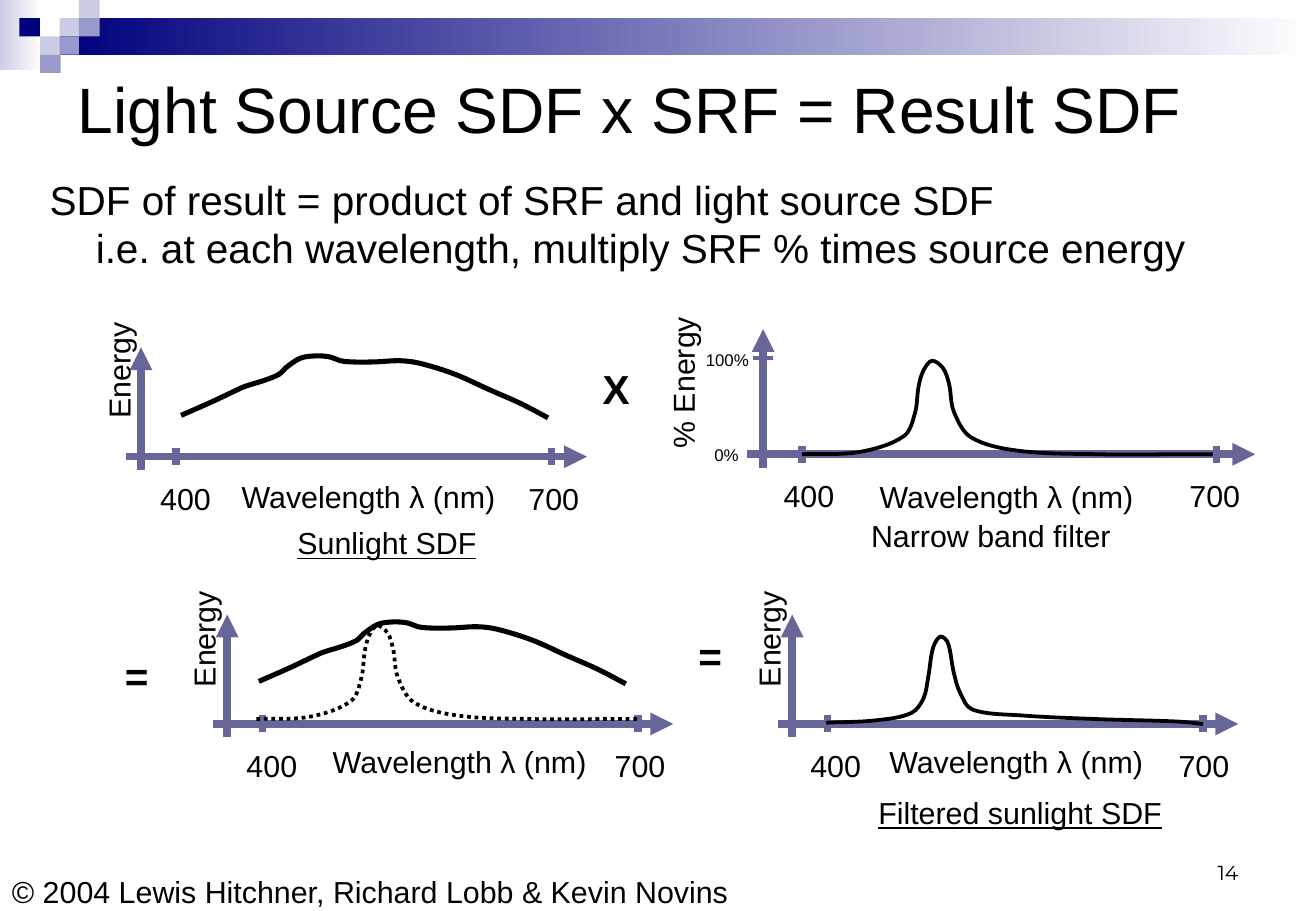
"""Build the slide on light source SDF, SRF and result SDF."""
import math
from dataclasses import dataclass

import pptx
import pptx.dml.color
import pptx.enum.dml
import pptx.enum.shapes
import pptx.enum.text
import pptx.oxml
import pptx.oxml.ns
import pptx.util

SCALE = 9144
BLACK = pptx.dml.color.RGBColor(0x00, 0x00, 0x00)
WHITE = pptx.dml.color.RGBColor(0xFF, 0xFF, 0xFF)
NAVY = pptx.dml.color.RGBColor(0x00, 0x00, 0x7D)
PALE = pptx.dml.color.RGBColor(0xCC, 0xCC, 0xE6)
LILAC = pptx.dml.color.RGBColor(0x99, 0x99, 0xCC)
SLATE = pptx.dml.color.RGBColor(0x66, 0x66, 0x99)
Point = tuple[float, float]

SUN: list[Point] = [
    (0, 49), (25, 38), (44, 29), (53, 25), (69, 20), (81, 15), (86, 10), (98, 2),
    (111, 0), (123, 1), (131, 4), (140, 5), (159, 5), (180, 4), (196, 6),
    (225, 15), (254, 28), (279, 39), (302, 51)]
BAND: list[Point] = [
    (0, 77), (48, 75), (84, 62), (93, 43), (96, 21), (100, 8), (107, 0), (116, 6),
    (121, 19), (125, 42), (139, 63), (177, 74), (244, 77), (315, 77), (338, 77)]
RESULT: list[Point] = [
    (0, 72), (41, 70), (70, 64), (80, 52), (84, 34), (88, 10), (94, 1), (100, 6),
    (105, 31), (110, 47), (120, 61), (161, 66), (223, 69), (289, 71), (310, 73)]


@dataclass
class Box:
    """A filled box, fading to white when fade is set."""
    left: int
    top: int
    width: int
    height: int
    color: pptx.dml.color.RGBColor
    fade: bool = False


@dataclass
class Label:
    """A piece of text and its box."""
    text: str
    left: int
    top: int
    width: int
    height: int = 40
    size: int = 18
    bold: bool = False
    under: bool = False
    turn: int = 0


@dataclass
class Panel:
    """A pair of axes; ticks and labels are offsets from the left end."""
    left: int
    base: int
    wave: Point
    length: int = 379
    rise: int = 90
    axis: int = 12
    ticks: tuple[int, int] = (41, 350)
    names: tuple[int, int] = (18, 321)


@dataclass
class Curve:
    """A smooth curve through knots."""
    knots: list[Point]
    left: int
    top: int
    weight: float
    stretch: float = 1
    dots: bool = False


BOXES = [
    Box(0, 0, 34, 58, PALE, True), Box(49, 15, 1034, 30, NAVY, True),
    Box(49, 15, 16, 15, PALE), Box(65, 0, 17, 15, PALE), Box(65, 15, 17, 15, LILAC),
    Box(33, 30, 17, 15, PALE), Box(16, 15, 17, 15, NAVY), Box(49, 30, 16, 15, LILAC),
    Box(33, 45, 17, 15, LILAC)]
PANELS = [
    Panel(104, 376, (85, 13)),
    Panel(615, 374, (99, 15), 418, 103, 13, (45, 386), (20, 354)),
    Panel(175, 596, (89, 11)),
    Panel(640, 596, (82, 11), names=(17, 320))]
CURVES = [
    Curve(SUN, 149, 293, 3), Curve(BAND, 660, 297, 2.25),
    Curve(BAND, 211, 515, 2.25, 0.93, True), Curve(SUN, 213, 512, 3),
    Curve(RESULT, 680, 523, 2.25)]
LABELS = [
    Label("Energy", 48, 285, 99, turn=270), Label("% Energy", 495, 292, 134, turn=270),
    Label("Energy", 118, 506, 99, turn=270), Label("Energy", 583, 506, 99, turn=270),
    Label("100%", 571, 283, 59, 27, 10), Label("0%", 578, 361, 40, 27, 10),
    Label("Sunlight SDF", 235, 427, 167, under=True),
    Label("Narrow band filter", 707, 421, 217),
    Label("Filtered sunlight SDF", 713, 649, 257, under=True),
    Label("Χ", 486, 295, 42, 50, 24, True), Label("=", 93, 531, 40, 50, 24, True),
    Label("=", 565, 515, 40, 50, 24, True),
    Label("© 2004 Lewis Hitchner, Richard Lobb & Kevin Novins", 0, 714, 615)]


def px(size: float) -> pptx.util.Emu:
    """Turn px into EMU."""
    return pptx.util.Emu(round(size * SCALE))


def style(par, size: int, face: str = "Arial") -> None:
    """Set the font of a paragraph."""
    par.font.name, par.font.size = face, pptx.util.Pt(size)
    par.font.color.rgb = BLACK


def draw_box(shapes, box: Box) -> None:
    """Draw one box of the top band."""
    shape = shapes.add_shape(pptx.enum.shapes.MSO_SHAPE.RECTANGLE, px(box.left),
                             px(box.top), px(box.width), px(box.height))
    shape.shadow.inherit = False
    shape.line.fill.background()
    if box.fade:
        shape.fill.gradient()
        shape.fill.gradient_angle = 0
        for stop, color in zip(shape.fill.gradient_stops, (box.color, WHITE)):
            stop.color.rgb = color
    else:
        shape.fill.solid()
        shape.fill.fore_color.rgb = box.color


def draw_label(shapes, label: Label):
    """Draw one label and return its shape."""
    shape = shapes.add_textbox(px(label.left), px(label.top),
                               px(label.width), px(label.height))
    shape.rotation = label.turn
    shape.text_frame.word_wrap = False
    shape.text_frame.auto_size = pptx.enum.text.MSO_AUTO_SIZE.SHAPE_TO_FIT_TEXT
    par = shape.text_frame.paragraphs[0]
    par.text = label.text
    style(par, label.size)
    par.font.bold, par.font.underline = label.bold, label.under
    return shape


def draw_line(shapes, start: Point, end: Point, weight: float = 4.5,
              arrow: bool = False) -> None:
    """Draw a straight line, with an arrowhead if asked."""
    line = shapes.add_connector(pptx.enum.shapes.MSO_CONNECTOR.STRAIGHT,
                                *map(px, start + end))
    line.line.color.rgb, line.line.width = SLATE, pptx.util.Pt(weight)
    if arrow:
        head = pptx.oxml.parse_xml(
            f'<a:tailEnd {pptx.oxml.ns.nsdecls("a")} type="triangle"/>')
        line.line._get_or_add_ln().append(head)
    line._element.spPr.append(
        pptx.oxml.parse_xml(f'<a:effectLst {pptx.oxml.ns.nsdecls("a")}/>'))


def draw_panel(shapes, panel: Panel) -> None:
    """Draw the axes, ticks and axis labels of a panel."""
    left, base = panel.left, panel.base
    axis = left + panel.axis
    draw_line(shapes, (left, base), (left + panel.length, base), arrow=True)
    draw_line(shapes, (axis, base + 11), (axis, base - panel.rise), arrow=True)
    for text, tick, name in zip(("400", "700"), panel.ticks, panel.names):
        draw_line(shapes, (left + tick, base - 7), (left + tick, base + 7))
        draw_label(shapes, Label(text, left + name, base + 14, 62))
    across, down = panel.wave
    draw_label(shapes, Label("Wavelength λ (nm)", left + across, base + down, 230))


def handle(prev: Point, knot: Point, after: Point, reach: float) -> Point:
    """Return a control point on the tangent at a knot."""
    share = reach / 3 / (math.dist(prev, knot) + math.dist(knot, after))
    x, y = (k + (b - a) * share for a, k, b in zip(prev, knot, after))
    return x, y


def bend(shape) -> None:
    """Turn the straight segments of a freeform into smooth curves."""
    tag = pptx.oxml.ns.qn
    knots = [(int(pt.get("x")), int(pt.get("y")))
             for pt in shape._element.iter(tag("a:pt"))]
    ends = [knots[0], *knots, knots[-1]]
    lines = list(shape._element.iter(tag("a:lnTo")))
    for line, a, b, c, d in zip(lines, ends, ends[1:], ends[2:], ends[3:]):
        reach = math.dist(b, c)
        points = handle(a, b, c, reach), handle(d, c, b, reach), c
        marks = "".join(f'<a:pt x="{round(x)}" y="{round(y)}"/>' for x, y in points)
        line.getparent().replace(line, pptx.oxml.parse_xml(
            f'<a:cubicBezTo {pptx.oxml.ns.nsdecls("a")}>{marks}</a:cubicBezTo>'))


def draw_curve(shapes, curve: Curve) -> None:
    """Draw one smooth curve."""
    points = [(px(curve.left + x * curve.stretch), px(curve.top + y))
              for x, y in curve.knots]
    trace = shapes.build_freeform(*points[0])
    trace.add_line_segments(points[1:], close=False)
    shape = trace.convert_to_shape()
    bend(shape)
    shape.shadow.inherit = False
    shape.fill.background()
    shape.line.color.rgb, shape.line.width = BLACK, pptx.util.Pt(curve.weight)
    if curve.dots:
        shape.line.dash_style = pptx.enum.dml.MSO_LINE.ROUND_DOT


def main() -> None:
    """Build and save the slide."""
    deck = pptx.Presentation()
    deck.slide_width, deck.slide_height = px(1083), px(750)
    shapes = deck.slides.add_slide(deck.slide_layouts[5]).shapes
    title = shapes.title
    title.left, title.top, title.width, title.height = map(px, (54, 50, 975, 78))
    title.text_frame.text = "Light Source SDF x SRF = Result SDF"
    title.text_frame.vertical_anchor = pptx.enum.text.MSO_ANCHOR.MIDDLE
    head = title.text_frame.paragraphs[0]
    head.alignment = pptx.enum.text.PP_ALIGN.LEFT
    style(head, 38)
    for box in BOXES:
        draw_box(shapes, box)
    body = draw_label(shapes, Label(
        "SDF of result = product of SRF and light source SDF\v"
        "i.e. at each wavelength, multiply SRF % times source energy",
        31, 139, 1021, 90, 24))
    body.text_frame.word_wrap = True
    props = body.text_frame.paragraphs[0]._p.get_or_add_pPr()
    props.set("marL", str(px(38)))
    props.set("indent", str(px(-38)))
    for panel in PANELS:
        draw_panel(shapes, panel)
    draw_line(shapes, (620, 295), (636, 295), 2.25)
    for label in LABELS:
        draw_label(shapes, label)
    for curve in CURVES:
        draw_curve(shapes, curve)
    page = draw_label(shapes, Label("14", 776, 683, 253, 50))
    page.text_frame.word_wrap = True
    page.text_frame.auto_size = pptx.enum.text.MSO_AUTO_SIZE.NONE
    page.text_frame.vertical_anchor = pptx.enum.text.MSO_ANCHOR.BOTTOM
    par = page.text_frame.paragraphs[0]
    par.alignment = pptx.enum.text.PP_ALIGN.RIGHT
    style(par, 12, "Montserrat")
    deck.save("out.pptx")


if __name__ == "__main__":
    main()
